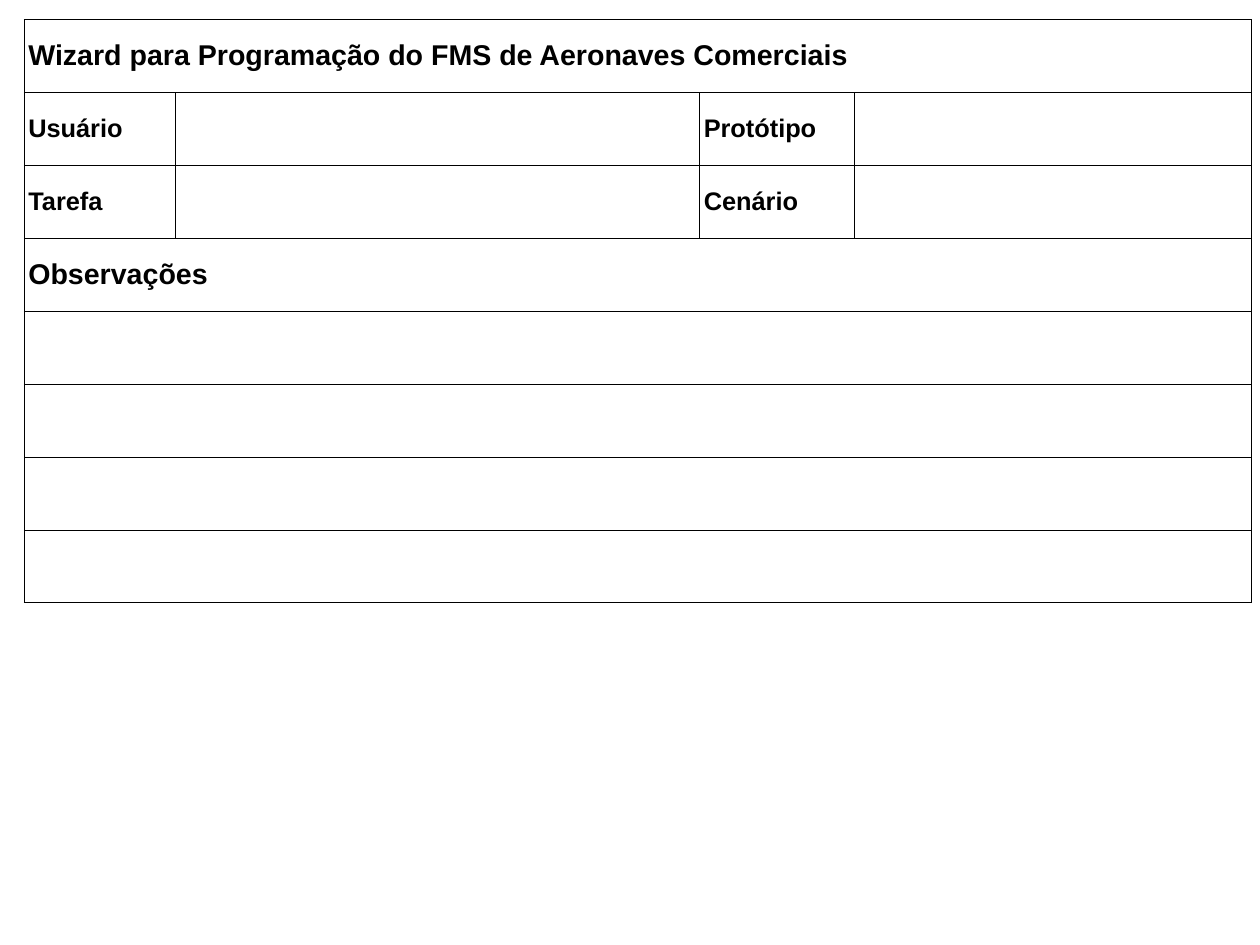
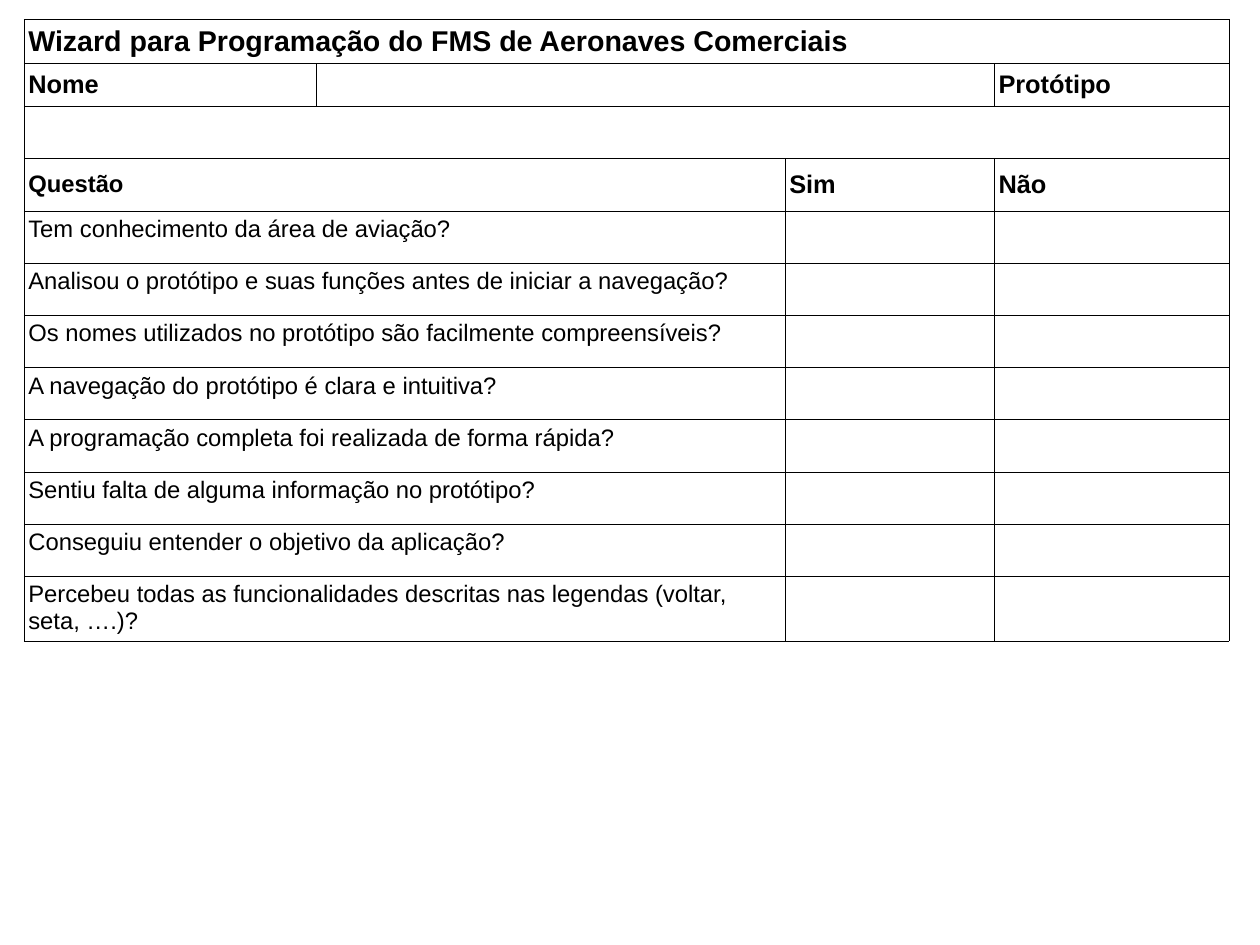
from dataclasses import dataclass

from lxml.etree import SubElement
from pptx import Presentation
from pptx.dml.color import RGBColor
from pptx.enum.text import MSO_ANCHOR as Anchor
from pptx.oxml.ns import qn
from pptx.util import Cm, Pt


# Look shared by both forms
@dataclass(frozen=True)
class Theme:
    font: str = "Arial"
    ink: str = "000000"
    paper: str = "FFFFFF"
    heading_size: float = 18
    label_size: float = 16
    question_size: float = 15
    border_width: float = 0.06
    left: float = 0.53
    top: float = 0.43
    side_margin: float = 0.1
    edge_margin: float = 0.12


THEME = Theme()
FORM_TITLE = "Wizard para Programação do FMS de Aeronaves Comerciais"
QUESTIONS = [
    "Tem conhecimento da área de aviação?",
    "Analisou o protótipo e suas funções antes de iniciar a navegação?",
    "Os nomes utilizados no protótipo são facilmente compreensíveis?",
    "A navegação do protótipo é clara e intuitiva?",
    "A programação completa foi realizada de forma rápida?",
    "Sentiu falta de alguma informação no protótipo?",
    "Conseguiu entender o objetivo da aplicação?",
    "Percebeu todas as funcionalidades descritas nas legendas "
    "(voltar, seta, ….)?",
]


# One field of a form, covering one or more columns
@dataclass(frozen=True)
class Field:
    text: str = ""
    span: int = 1
    size: float = THEME.label_size
    bold: bool = True
    anchor: Anchor = Anchor.MIDDLE


def heading(text):
    return [Field(text, span=4, size=THEME.heading_size)]


def blank_row():
    return [Field(span=4)]


def question_row(text):
    question = Field(text, 2, THEME.question_size, False, Anchor.TOP)
    return [question, Field(), Field()]


def style_cell(cell):
    """Thin border on all sides, paper fill and tight margins."""
    properties = cell._tc.get_or_add_tcPr()
    for side in ("a:lnL", "a:lnR", "a:lnT", "a:lnB"):
        border = SubElement(properties, qn(side), w=str(Pt(THEME.border_width)))
        ink = SubElement(border, qn("a:solidFill"))
        SubElement(ink, qn("a:srgbClr"), val=THEME.ink)
    cell.fill.solid()
    cell.fill.fore_color.rgb = RGBColor.from_string(THEME.paper)
    cell.margin_left = cell.margin_right = Cm(THEME.side_margin)
    cell.margin_top = cell.margin_bottom = Cm(THEME.edge_margin)


def write_field(cell, field):
    cell.vertical_anchor = field.anchor
    paragraph = cell.text_frame.paragraphs[0]
    if field.text:
        paragraph.text = field.text
    font = paragraph.font
    font.name, font.size, font.bold = THEME.font, Pt(field.size), field.bold
    font.color.rgb = RGBColor.from_string(THEME.ink)


def add_form(deck, widths, heights, rows):
    """Add a slide holding one form; widths and heights are in cm."""
    slide = deck.slides.add_slide(deck.slide_layouts[6])
    form = slide.shapes.add_table(
        len(rows), len(widths), Cm(THEME.left), Cm(THEME.top),
        Cm(sum(widths)), Cm(sum(heights))).table
    form.first_row = form.horz_banding = False
    for column, width in zip(form.columns, widths):
        column.width = Cm(width)
    for row, height in zip(form.rows, heights):
        row.height = Cm(height)
    for cell in form.iter_cells():
        style_cell(cell)

    for row_index, fields in enumerate(rows):
        start = 0
        for field in fields:
            cell = form.cell(row_index, start)
            end = start + field.span
            if field.span > 1:
                cell.merge(form.cell(row_index, end - 1))
            write_field(cell, field)
            start = end


def main():
    deck = Presentation()
    deck.slide_width, deck.slide_height = Cm(28), Cm(21)

    # Observation form
    observation_rows = [
        heading(FORM_TITLE),
        [Field("Usuário"), Field(), Field("Protótipo"), Field()],
        [Field("Tarefa"), Field(), Field("Cenário"), Field()],
        heading("Observações"),
        *[blank_row() for _ in range(4)],
    ]
    add_form(deck, [3.35, 11.66, 3.45, 8.81],
             [1.62] * len(observation_rows), observation_rows)

    # Questionnaire
    questionnaire_rows = [
        heading(FORM_TITLE),
        [Field("Nome"), Field(span=2), Field("Protótipo")],
        blank_row(),
        [Field("Questão", 2, THEME.question_size), Field("Sim"), Field("Não")],
        *[question_row(question) for question in QUESTIONS],
    ]
    add_form(deck, [6.5, 10.41, 4.65, 5.23],
             [0.98, 0.95] + [1.16] * 9 + [1.45], questionnaire_rows)

    deck.save("out.pptx")


if __name__ == "__main__":
    main()
